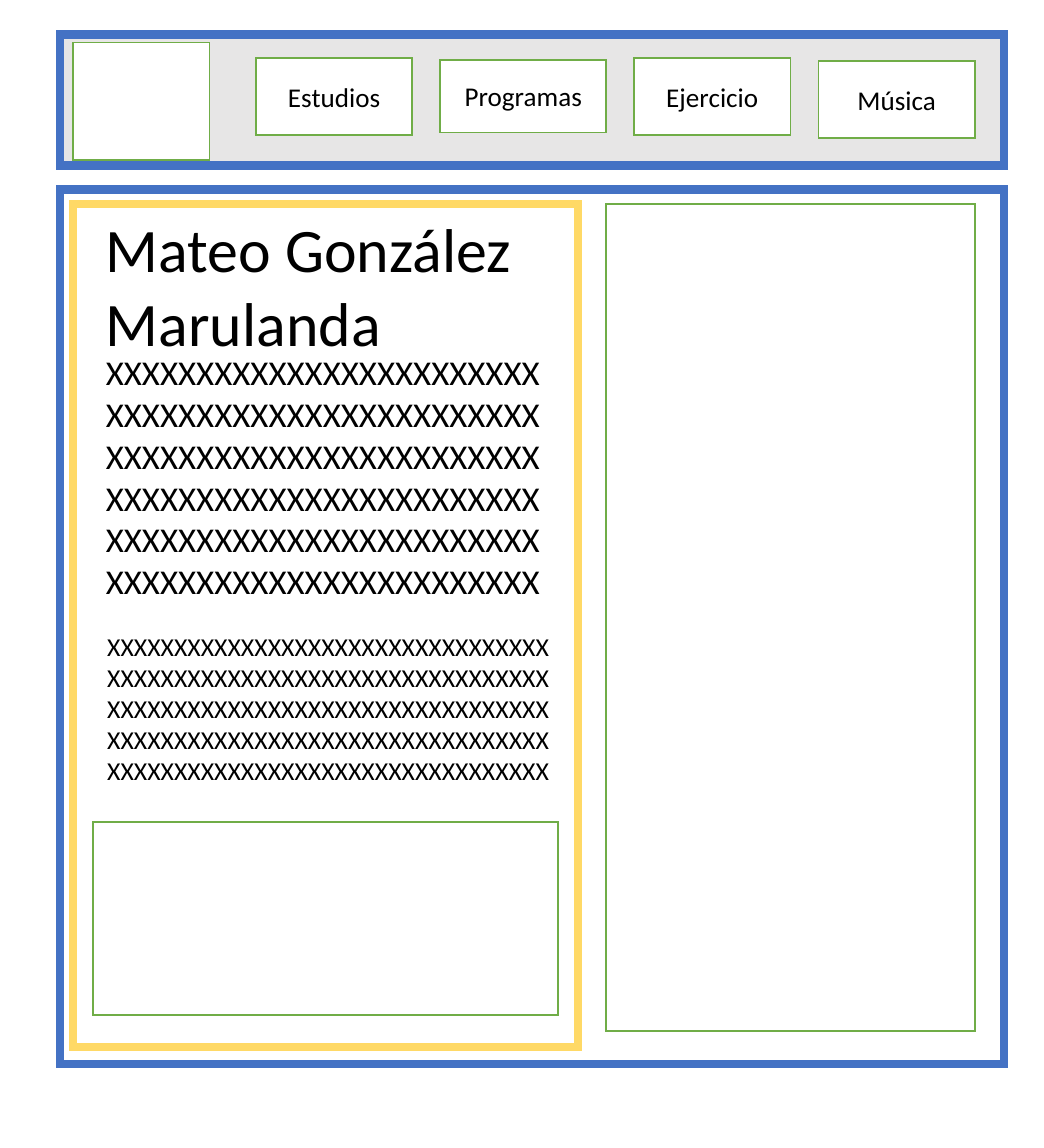
"""Build a web page wireframe with a menu bar, a profile column and a side panel."""
import lxml.etree
import pptx
import pptx.dml.color
import pptx.enum.shapes
import pptx.enum.text
import pptx.oxml.ns
import pptx.util

BLACK = pptx.dml.color.RGBColor(0x00, 0x00, 0x00)
WHITE = pptx.dml.color.RGBColor(0xFF, 0xFF, 0xFF)
GRAY = pptx.dml.color.RGBColor(0xE7, 0xE6, 0xE6)
BLUE = pptx.dml.color.RGBColor(0x44, 0x72, 0xC4)
GREEN = pptx.dml.color.RGBColor(0x70, 0xAD, 0x47)
YELLOW = pptx.dml.color.RGBColor(0xFF, 0xD9, 0x66)

deck = pptx.Presentation()
deck.slide_width = pptx.util.Cm(20)
deck.slide_height = pptx.util.Cm(22)
page = deck.slides.add_slide(deck.slide_layouts[6])
column = deck.slide_width / 100
row = deck.slide_height / 100


def add_frame(left, top, width, height, color, weight, fill=None):
    """Add a sharp-cornered rectangle placed in columns and rows."""
    frame = page.shapes.add_shape(
        pptx.enum.shapes.MSO_SHAPE.RECTANGLE,
        round(left * column), round(top * row),
        round(width * column), round(height * row))
    frame.shadow.inherit = False
    frame.line.color.rgb = color
    frame.line.width = pptx.util.Pt(weight)
    outline = frame.element.spPr.find(pptx.oxml.ns.qn("a:ln"))
    lxml.etree.SubElement(outline, pptx.oxml.ns.qn("a:miter"), lim="800000")
    if fill is None:
        frame.fill.background()
    else:
        frame.fill.solid()
        frame.fill.fore_color.rgb = fill
    return frame


def write(box, text, size, alignment):
    """Write one run of text into a box."""
    box.text_frame.word_wrap = True
    para = box.text_frame.paragraphs[0]
    para.alignment = alignment
    span = para.add_run()
    span.text = text
    span.font.name = "Calibri"
    span.font.size = pptx.util.Pt(size)
    span.font.color.rgb = BLACK


profile_texts = [
    (8.89, 17.78, 44.6, 14.2, "Mateo González Marulanda", 33.6),
    (8.89, 30.02, 45.36, 23.21, "X" * 24 * 6, 18.9),
    (9.02, 54.39, 46, 14.78, "X" * 33 * 5, 14),
]
for left, top, width, height, text, size in profile_texts:
    box = page.shapes.add_textbox(
        round(left * column), round(top * row),
        round(width * column), round(height * row))
    write(box, text, size, pptx.enum.text.PP_ALIGN.LEFT)
    box.text_frame.auto_size = pptx.enum.text.MSO_AUTO_SIZE.SHAPE_TO_FIT_TEXT

frames = [
    (58.07, 17.78, 35.32, 72.06, GREEN, 1),
    (5.72, 3, 90.47, 11.43, BLUE, 4.5, GRAY),
    (6.99, 3.7, 13.09, 10.28, GREEN, 1, WHITE),
    (8.89, 71.59, 44.6, 16.86, GREEN, 1),
    (5.72, 16.51, 90.47, 76.21, BLUE, 4.5),
    (6.99, 17.78, 48.41, 73.44, YELLOW, 4.5),
]
for frame in frames:
    add_frame(*frame)

menu = [
    ("Estudios", 24.52, 5.08, 14.99, 6.7),
    ("Programas", 42.19, 5.2, 15.88, 6.35),
    ("Ejercicio", 60.74, 5.08, 14.99, 6.7),
    ("Música", 78.4, 5.31, 14.99, 6.7),
]
for label, left, top, width, height in menu:
    button = add_frame(left, top, width, height, GREEN, 1, WHITE)
    button.text_frame.vertical_anchor = pptx.enum.text.MSO_ANCHOR.MIDDLE
    write(button, label, 14.7, pptx.enum.text.PP_ALIGN.CENTER)

deck.save("out.pptx")
